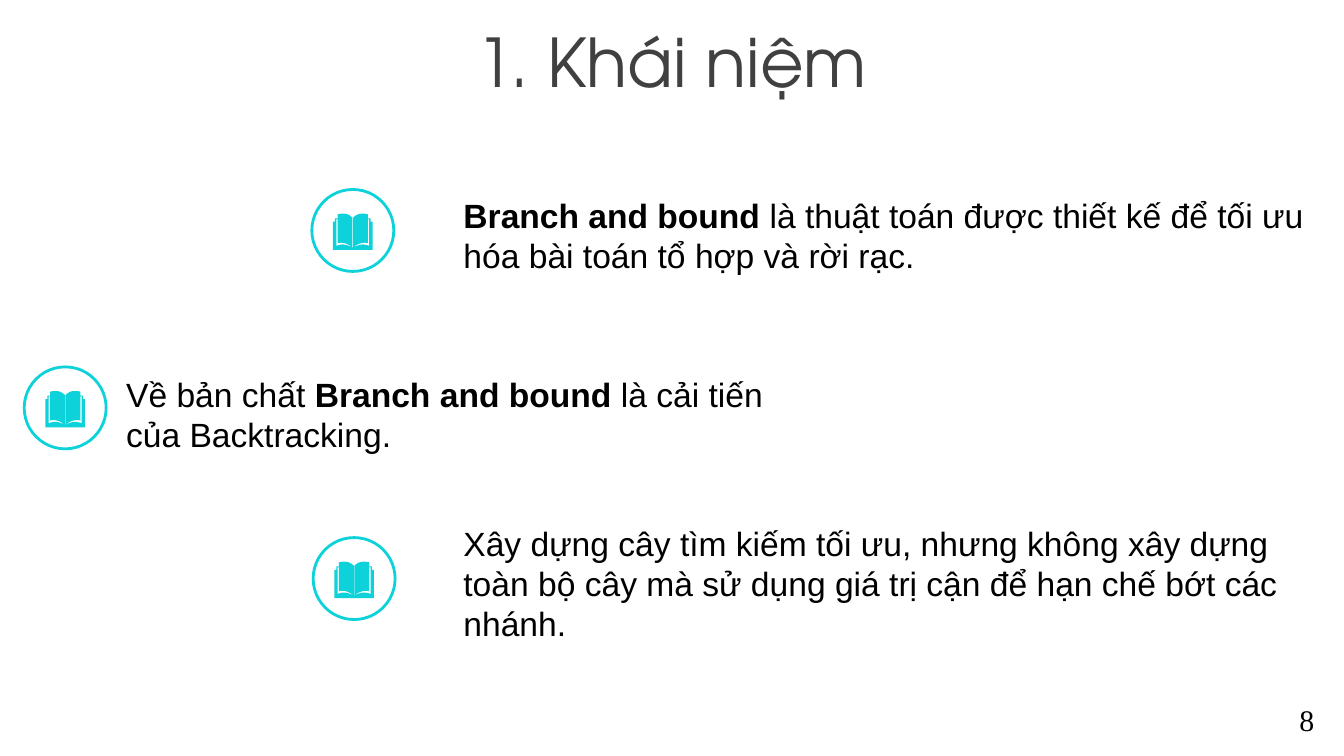
from pptx import Presentation
from pptx.dml.color import RGBColor
from pptx.enum.shapes import MSO_SHAPE as SHAPE
from pptx.enum.text import MSO_ANCHOR as ANCHOR, MSO_AUTO_SIZE as AUTO, PP_ALIGN as ALIGN
from pptx.util import Inches, Pt

CELL = Inches(0.1)
COLS, ROWS = 100, 56.25
RING = 6.1
BOOK_HALF = [
    [(1.5, 2.5)],
    [(2, 2.3), (2.2, 2.2), (2.7, 2.4)],
    [(2.7, 0.4)], [(2.6, 0.4)], [(2.6, 2.2)],
    [(2.3, 2.1), (1.9, 2.2), (1.5, 2.5)],
    [(1.5, 0.3)],
    [(1.7, 0.1), (1.9, 0), (2.2, 0)],
    [(2.3, 0), (2.4, 0), (2.6, 0.05)],
    [(2.6, 0.35)], [(2.8, 0.35)], [(2.8, 0.6)], [(2.95, 0.6)], [(2.95, 2.7)],
]
BOOK_WIDTH = 2.95


def color(value):
    return RGBColor.from_string(value)


def cells(*values):
    return [round(v * CELL) for v in values]


def flatten(segments, steps=8):
    points = []
    for seg in segments:
        if len(seg) == 1:
            points.append(seg[0])
            continue
        a, (b, c, d) = points[-1], seg
        for t in (i / steps for i in range(1, steps + 1)):
            u = 1 - t
            points.append(tuple(
                u**3 * a[k] + 3 * u * u * t * b[k] + 3 * u * t * t * c[k] + t**3 * d[k]
                for k in (0, 1)))
    return points


class Deck:
    body = {"name": "Arial", "size": Pt(18)}
    accent, paper, ink = "0DD2D9", "FFFFFF", "000000"

    def __init__(self):
        self.prs = Presentation()
        self.prs.slide_width, self.prs.slide_height = cells(COLS, ROWS)
        self.slide = self.prs.slides.add_slide(self.prs.slide_layouts[6])

    def text(self, box, runs, font=None, ink=None, frame=None, para=None):
        sp = self.slide.shapes.add_textbox(*cells(*box))
        tf = sp.text_frame
        for key, value in {"word_wrap": True, **(frame or {})}.items():
            setattr(tf, key, value)
        p = tf.paragraphs[0]
        for key, value in (para or {}).items():
            setattr(p, key, value)
        for words, bold in runs:
            r = p.add_run()
            r.text = words
            for key, value in {**self.body, **(font or {}), "bold": bold}.items():
                setattr(r.font, key, value)
            r.font.color.rgb = color(ink or self.ink)

    def paint(self, sp, fill, line=None):
        sp.shadow.inherit = False
        sp.fill.solid()
        sp.fill.fore_color.rgb = color(fill)
        if line:
            sp.line.color.rgb = color(line)
            sp.line.width = Pt(1.5)
        else:
            sp.line.fill.background()

    def book_icon(self, x, y):
        ring = self.slide.shapes.add_shape(SHAPE.OVAL, *cells(x, y, RING, RING))
        self.paint(ring, self.paper, self.accent)
        half = flatten(BOOK_HALF)
        mirror = [(BOOK_WIDTH - px, py) for px, py in reversed(half)]
        left, top = x + (RING - BOOK_WIDTH) / 2, y + 1.8
        start, *rest = [cells(left + px, top + py) for px, py in half + mirror]
        outline = self.slide.shapes.build_freeform(*start)
        outline.add_line_segments(rest, close=True)
        self.paint(outline.convert_to_shape(), self.accent)


deck = Deck()
deck.text((0, 1.4, COLS, 6.3), [("1. Khái niệm", False)],
          {"name": "TeX Gyre Adventor", "size": Pt(36)}, "404040",
          {"vertical_anchor": ANCHOR.MIDDLE},
          {"alignment": ALIGN.CENTER, "space_before": Pt(7.2)})

points = [
    ((23.2, 14.1), (33.5, 14, 66.5, 7.1), [
        ("Branch and bound\u00a0", True),
        ("là thuật toán được thiết kế để tối ưu hóa bài toán tổ hợp và rời rạc.", False)]),
    ((1.8, 27.3), (8.4, 27.3, 50.1, 7.1), [
        ("Về bản chất ", False), ("Branch and bound ", True),
        ("là cải tiến của Backtracking.", False)]),
    ((23.3, 40), (33.5, 38.4, 65.4, 10.1), [
        ("Xây dựng cây tìm kiếm tối ưu, nhưng không xây dựng toàn bộ cây mà "
         "sử dụng giá trị cận để hạn chế bớt các nhánh.", False)]),
]
for icon, box, runs in points:
    deck.text(box, runs, frame={"auto_size": AUTO.SHAPE_TO_FIT_TEXT})
    deck.book_icon(*icon)

deck.text((95.7, 51.7, 3.1, 3.7), [("8", False)],
          {"name": "Times New Roman", "size": Pt(16)},
          frame={"word_wrap": False, "auto_size": AUTO.SHAPE_TO_FIT_TEXT})
deck.prs.save("out.pptx")
